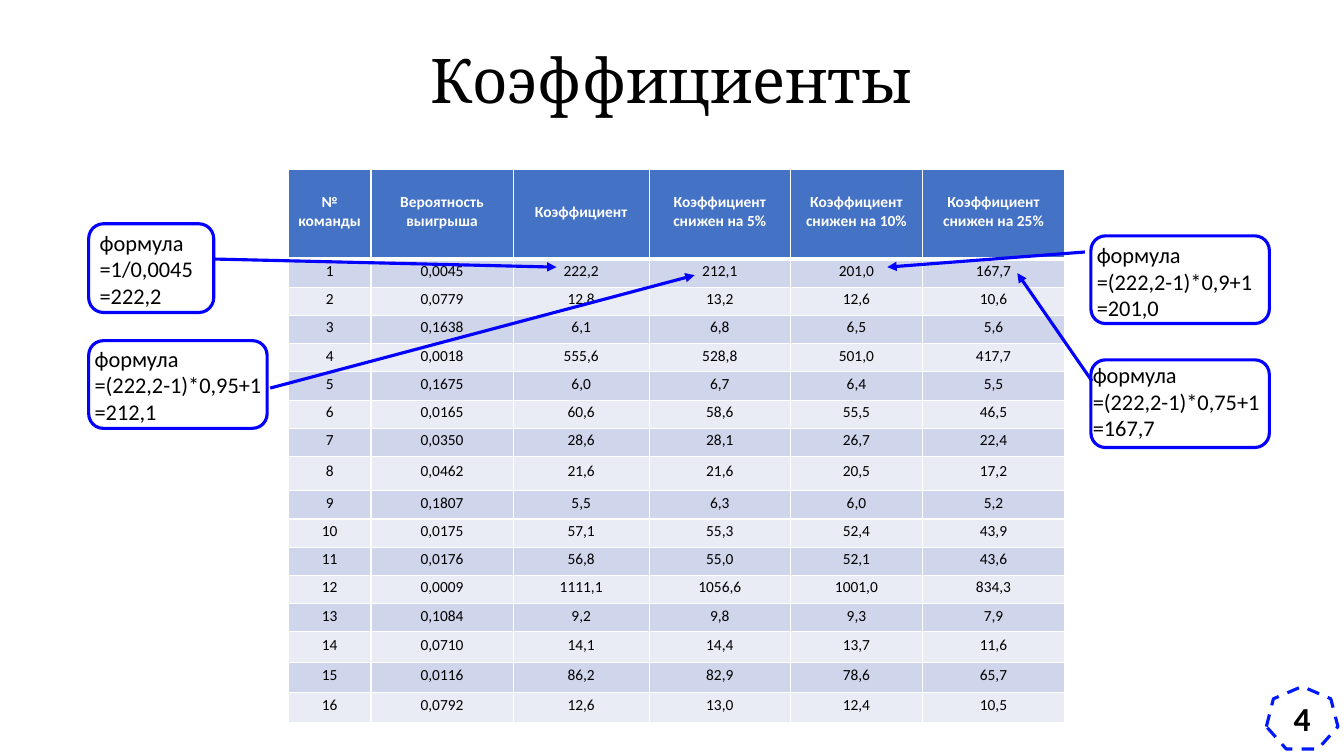
"""Builds the slide of betting coefficients with formula callouts."""
import copy

import pptx
import pptx.dml.color
import pptx.enum.dml
import pptx.enum.shapes
import pptx.enum.text
import pptx.oxml
import pptx.oxml.ns
import pptx.util

Inches = pptx.util.Inches
Pt = pptx.util.Pt
SHAPE = pptx.enum.shapes.MSO_SHAPE
ALIGN = pptx.enum.text.PP_ALIGN
MIDDLE = pptx.enum.text.MSO_ANCHOR.MIDDLE
DASH = pptx.enum.dml.MSO_LINE.DASH
qn = pptx.oxml.ns.qn
NS = pptx.oxml.ns.nsdecls("a")

BLUE = "0400FF"
COLUMNS = [0.82, 1.41, 1.35, 1.4, 1.31, 1.41]
ROWS = [0.89] + [0.28] * 7 + [0.34] + [0.28] * 5 + [0.3] * 3
HEADER = ["№\vкоманды", "Вероятность\vвыигрыша", "Коэффициент",
          "Коэффициент\vснижен на 5%", "Коэффициент\vснижен на 10%",
          "Коэффициент\vснижен на 25%"]
TEAMS = """
1 0,0045 222,2 212,1 201,0 167,7
2 0,0779 12,8 13,2 12,6 10,6
3 0,1638 6,1 6,8 6,5 5,6
4 0,0018 555,6 528,8 501,0 417,7
5 0,1675 6,0 6,7 6,4 5,5
6 0,0165 60,6 58,6 55,5 46,5
7 0,0350 28,6 28,1 26,7 22,4
8 0,0462 21,6 21,6 20,5 17,2
9 0,1807 5,5 6,3 6,0 5,2
10 0,0175 57,1 55,3 52,4 43,9
11 0,0176 56,8 55,0 52,1 43,6
12 0,0009 1111,1 1056,6 1001,0 834,3
13 0,1084 9,2 9,8 9,3 7,9
14 0,0710 14,1 14,4 13,7 11,6
15 0,0116 86,2 82,9 78,6 65,7
16 0,0792 12,6 13,0 12,4 10,5
"""
FRAMES = [(10.82, 3.57, 1.77, 0.87), (10.82, 2.34, 1.77, 0.87),
          (0.88, 3.38, 1.77, 0.87), (0.88, 2.22, 1.24, 0.88)]
FORMULAS = [((0.89, 2.22, 1.16, 0.91), "формула\n=1/0,0045=222,2"),
            ((0.84, 3.37, 1.94, 0.91), "формула\n=(222,2-1)*0,95+1\n=212,1"),
            ((10.78, 2.34, 1.94, 0.91), "формула\n=(222,2-1)*0,9+1\n=201,0"),
            ((10.74, 3.53, 1.94, 0.91), "формула\n=(222,2-1)*0,75+1\n=167,7")]
ARROWS = [(2.12, 2.57, 5.52, 2.65), (2.68, 3.85, 6.89, 2.73),
          (10.76, 2.5, 8.8, 2.65), (10.83, 3.78, 10.09, 2.71)]


def rgb(color):
    return pptx.dml.color.RGBColor.from_string(color)


def inches(*values):
    return [Inches(v) for v in values]


def write(tf, text, size=16, font="Calibri", color="000000", bold=False,
          align=ALIGN.LEFT, spacing=None):
    for i, line in enumerate(text.split("\n")):
        p = tf.add_paragraph() if i else tf.paragraphs[0]
        p.text = line
        p.alignment = align
        if spacing:
            p.line_spacing = spacing
        for r in p.runs:
            r.font.size = Pt(size)
            r.font.name = font
            r.font.bold = bold
            r.font.color.rgb = rgb(color)
        for br in p._p.findall(qn("a:br")):
            br.append(copy.deepcopy(p.runs[0]._r.rPr))


class Slide:
    def __init__(self, prs, line=BLUE, width=2.25):
        self.s = prs.slides.add_slide(prs.slide_layouts[6])
        self.line = line
        self.width = width

    def shape(self, kind, box, line=None, dash=None):
        sp = self.s.shapes.add_shape(kind, *inches(*box))
        sp.shadow.inherit = False
        sp.fill.solid()
        sp.fill.fore_color.rgb = rgb("FFFFFF")
        sp.line.color.rgb = rgb(line or self.line)
        sp.line.width = Pt(self.width)
        if dash:
            sp.line.dash_style = dash
        return sp

    def text(self, box, text, anchor=None, **style):
        tf = self.s.shapes.add_textbox(*inches(*box)).text_frame
        tf.word_wrap = True
        if anchor:
            tf.vertical_anchor = anchor
        write(tf, text, **style)

    def arrow(self, ends):
        kind = pptx.enum.shapes.MSO_CONNECTOR.STRAIGHT
        cx = self.s.shapes.add_connector(kind, *inches(*ends))
        cx.line.color.rgb = rgb(self.line)
        cx.line.width = Pt(self.width)
        cx.line._get_or_add_ln().append(
            pptx.oxml.parse_xml(f'<a:tailEnd {NS} type="triangle"/>'))
        cx._element.spPr.append(pptx.oxml.parse_xml(f"<a:effectLst {NS}/>"))

    def cell(self, cell, text, row):
        cell.margin_left = cell.margin_right = cell.margin_top = Inches(0.01)
        cell.margin_bottom = Inches(0.05)
        cell.vertical_anchor = MIDDLE
        header = row == 0
        write(cell.text_frame, text, size=11, bold=header, align=ALIGN.CENTER,
              color="FFFFFF" if header else "000000")
        widths = {"L": 1, "R": 1, "T": 3 if row == 1 else 1, "B": 3 if header else 1}
        for side, width in widths.items():
            cell._tc.get_or_add_tcPr().append(pptx.oxml.parse_xml(
                f'<a:ln{side} {NS} w="{Pt(width)}"><a:solidFill>'
                f'<a:srgbClr val="FFFFFF"/></a:solidFill></a:ln{side}>'))
        cell.fill.solid()
        band = "CFD5EA" if row % 2 else "E9EBF5"
        cell.fill.fore_color.rgb = rgb("4472C4" if header else band)

    def table(self, left, top, columns, rows, data):
        box = inches(left, top, sum(columns), sum(rows))
        table = self.s.shapes.add_table(len(rows), len(columns), *box).table
        for column, width in zip(table.columns, columns):
            column.width = Inches(width)
        for i, (height, values) in enumerate(zip(rows, data)):
            table.rows[i].height = Inches(height)
            for j, value in enumerate(values):
                self.cell(table.cell(i, j), value, i)


def main():
    prs = pptx.Presentation()
    prs.slide_width, prs.slide_height = inches(13.33, 7.5)
    slide = Slide(prs)
    for box in FRAMES:
        slide.shape(SHAPE.ROUNDED_RECTANGLE, box)
    slide.text((0.91, 0.37, 11.5, 0.91), "Коэффициенты", anchor=MIDDLE,
               size=44, font="Cambria", align=ALIGN.CENTER, spacing=0.9)
    sp = slide.shape(SHAPE.HEPTAGON, (12.56, 6.81, 0.71, 0.62), "0019FC", DASH)
    sp.text_frame.vertical_anchor = MIDDLE
    write(sp.text_frame, "4", size=24, bold=True, align=ALIGN.CENTER)
    data = [HEADER] + [line.split() for line in TEAMS.strip().split("\n")]
    slide.table(2.86, 1.68, COLUMNS, ROWS, data)
    for box, formula in FORMULAS:
        slide.text(box, formula)
    for ends in ARROWS:
        slide.arrow(ends)
    prs.save("out.pptx")


if __name__ == "__main__":
    main()
